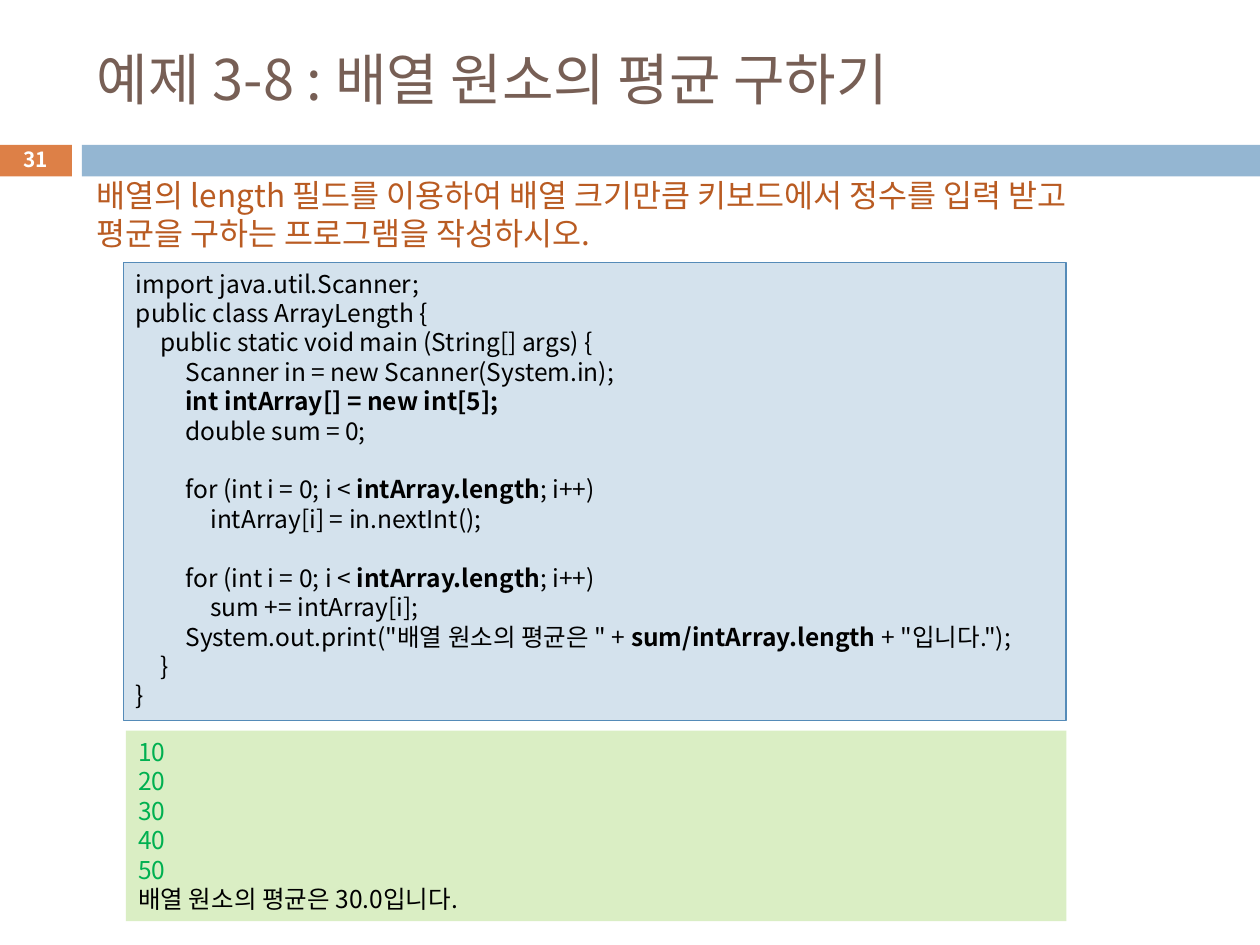
import pptx
import pptx.dml.color
import pptx.enum.shapes
import pptx.enum.text
import pptx.oxml
import pptx.oxml.ns
import pptx.util
from pptx.util import Cm

FONT = "Noto Sans CJK KR"
CODE_SIZE = 14
TAB_STEP = Cm(0.5)
EMPHASIS = "**"  # code between these marks is bold

CODE = """import java.util.Scanner;
public class ArrayLength {
\tpublic static void main (String[] args) {
\t\tScanner in = new Scanner(System.in);
\t\t**int intArray[] = new int[5];**
\t\tdouble sum = 0;
\t\t
\t\tfor (int i = 0; i < **intArray.length**; i++)
\t\t\tintArray[i] = in.nextInt();

\t\tfor (int i = 0; i < **intArray.length**; i++)
\t\t\tsum += intArray[i];
\t\tSystem.out.print("배열 원소의 평균은 " + **sum/intArray.length** + "입니다.");
\t}
}"""
INPUTS = ["10", "20", "30", "40", "50"]
RESULT = "배열 원소의 평균은 30.0입니다."


def rgb(value):
    return pptx.dml.color.RGBColor.from_string(value)


def add_xml(parent, tag, **attributes):
    child = pptx.oxml.parse_xml(f"<a:{tag} {pptx.oxml.ns.nsdecls('a')}/>")
    for name, value in attributes.items():
        child.set(name, str(value))
    parent.append(child)
    return child


def style_run(run, size, color, bold=False):
    run.font.size = pptx.util.Pt(size)
    run.font.bold = bold
    run.font.color.rgb = rgb(color)
    run.font.name = FONT
    add_xml(run.font._element, "ea", typeface=FONT)


def style_paragraph(paragraph, size, color, bold=False, align="LEFT"):
    paragraph.alignment = getattr(pptx.enum.text.PP_ALIGN, align)
    for run in paragraph.runs:
        style_run(run, size, color, bold)


def set_frame(frame, anchor="TOP"):
    frame.word_wrap = True
    frame.auto_size = pptx.enum.text.MSO_AUTO_SIZE.NONE
    frame.vertical_anchor = getattr(pptx.enum.text.MSO_ANCHOR, anchor)


def add_panel(slide, left, top, width, height, fill, line=None):
    panel = slide.shapes.add_shape(
        pptx.enum.shapes.MSO_SHAPE.RECTANGLE, left, top, width, height)
    panel.shadow.inherit = False
    panel.fill.solid()
    panel.fill.fore_color.rgb = rgb(fill)
    if line:
        panel.line.color.rgb = rgb(line)
        panel.line.width = pptx.util.Pt(0.75)
    else:
        panel.line.fill.background()
    set_frame(panel.text_frame)
    return panel


def fill_placeholder(holder, text, box, size, color, anchor):
    holder.left, holder.top, holder.width, holder.height = box
    set_frame(holder.text_frame, anchor)
    holder.text_frame.text = text
    paragraph = holder.text_frame.paragraphs[0]
    paragraph.space_before = pptx.util.Pt(0)
    properties = paragraph._p.get_or_add_pPr()
    properties.set("marL", "0")
    properties.set("indent", "0")
    add_xml(properties, "buNone")
    style_paragraph(paragraph, size, color)


def add_code_line(paragraph, line):
    paragraph.alignment = pptx.enum.text.PP_ALIGN.LEFT
    tabs = add_xml(paragraph._p.get_or_add_pPr(), "tabLst")
    for level in range(1, 4):
        add_xml(tabs, "tab", pos=level * TAB_STEP, algn="l")
    for index, part in enumerate(line.split(EMPHASIS)):
        run = paragraph.add_run()
        run.text = part
        style_run(run, CODE_SIZE, "000000", bold=index % 2 == 1)


def add_code(panel, code):
    frame = panel.text_frame
    for index, line in enumerate(code.split("\n")):
        paragraph = frame.add_paragraph() if index else frame.paragraphs[0]
        add_code_line(paragraph, line)


def add_output(panel, inputs, result):
    panel.text_frame.text = "\n".join(inputs + [result])
    for paragraph in panel.text_frame.paragraphs:
        color = "000000" if paragraph.text == result else "00B050"
        style_paragraph(paragraph, CODE_SIZE, color)


def add_page_number(slide, number):
    box = slide.shapes.add_textbox(Cm(-0.02), Cm(2.87), Cm(1.47), Cm(0.69))
    set_frame(box.text_frame, "MIDDLE")
    box.text_frame.text = number
    style_paragraph(box.text_frame.paragraphs[0], 11.9, "FFFFFF", True, "CENTER")


def main():
    deck = pptx.Presentation()
    deck.slide_width, deck.slide_height = Cm(25.4), Cm(19.05)
    slide = deck.slides.add_slide(deck.slide_layouts[1])
    title, task = slide.placeholders

    # Header band
    add_panel(slide, Cm(-0.02), Cm(2.92), Cm(1.47), Cm(0.64), "DD8047")
    add_panel(slide, Cm(1.65), Cm(2.92), Cm(23.75), Cm(0.64), "94B6D2")
    add_page_number(slide, "31")

    # Title and task
    fill_placeholder(title, "예제 3-8 : 배열 원소의 평균 구하기",
                     (Cm(1.7), Cm(0.64), Cm(22.66), Cm(1.88)),
                     32, "775F55", "MIDDLE")
    fill_placeholder(task, "배열의 length 필드를 이용하여 배열 크기만큼 키보드에서 정수를 "
                     "입력 받고 평균을 구하는 프로그램을 작성하시오.",
                     (Cm(1.7), Cm(3.43), Cm(21.72), Cm(1.8)),
                     18, "B95B22", "TOP")

    # Program and its output
    program = add_panel(slide, Cm(2.49), Cm(5.29), Cm(19), Cm(9.24),
                        "D4E2ED", "558BB8")
    add_code(program, CODE)
    output = add_panel(slide, Cm(2.54), Cm(14.73), Cm(18.96), Cm(3.84), "DAEEC4")
    add_output(output, INPUTS, RESULT)

    deck.save("out.pptx")


if __name__ == "__main__":
    main()
